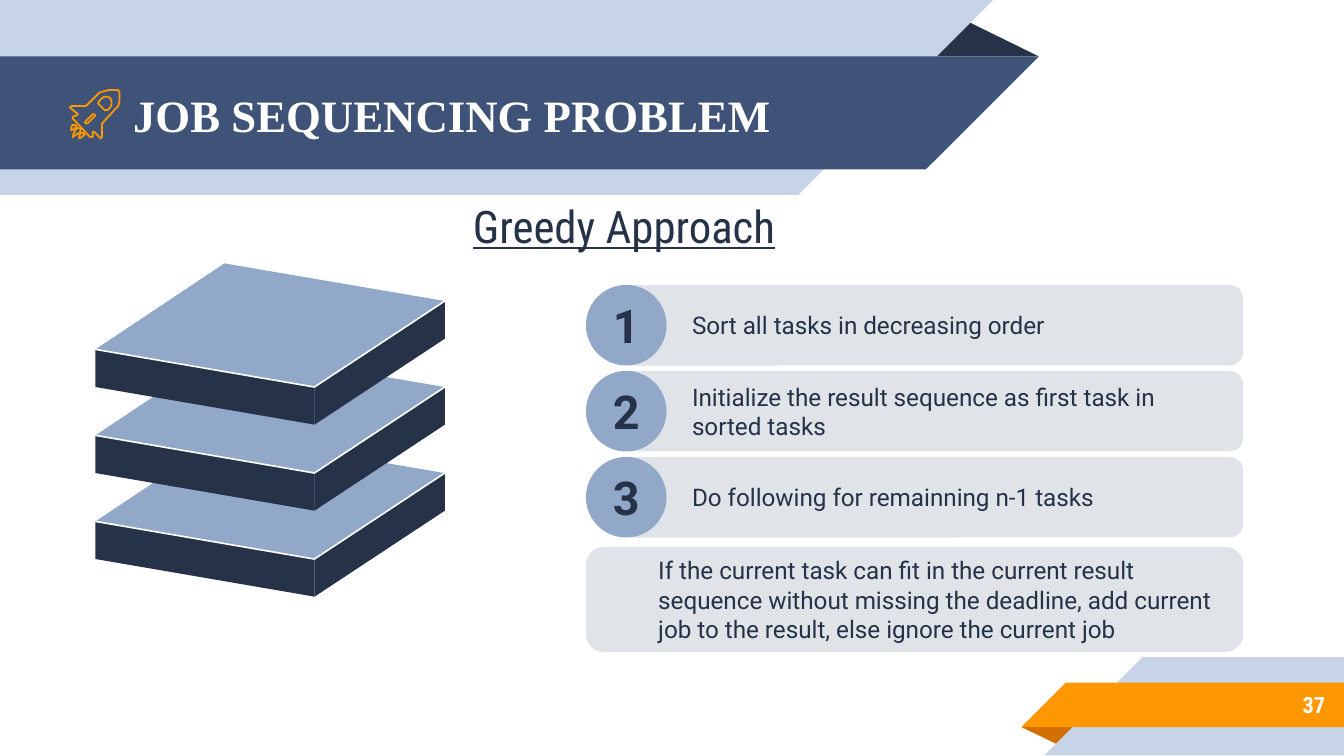
from pptx import Presentation
from pptx import util as u
from pptx.dml.color import RGBColor
from pptx.enum import shapes, text

NAVY = RGBColor(0x26, 0x32, 0x48)
BLUE = RGBColor(0x3F, 0x53, 0x78)
STEEL = RGBColor(0x92, 0xA8, 0xC8)
PALE = RGBColor(0xC7, 0xD3, 0xE6)
GREY = RGBColor(0xE0, 0xE4, 0xE9)
ORANGE = RGBColor(0xFF, 0x98, 0x00)
RUST = RGBColor(0xD2, 0x6F, 0x00)
WHITE = RGBColor(0xFF, 0xFF, 0xFF)

STEPS = [
    "Sort all tasks in decreasing order",
    "Initialize the result sequence as first task in sorted tasks",
    "Do following for remainning n-1 tasks",
]
DETAIL = ("If the current task can fit in the current result sequence without "
          "missing the deadline, add current job to the result, else ignore the current job")
STEP_TOP, STEP_PITCH, STEP_HEIGHT = 2.12, 0.64, 0.6
SLAB_TOP, SLAB_DEPTH = 1.96, 0.28

RIBBONS = [
    (NAVY, [(6.88, 0.42), (7.16, 0.14), (7.73, 0.42)]),
    (PALE, [(0, 0), (7.39, 0), (5.94, 1.45), (0, 1.45)]),
    (BLUE, [(0, 0.42), (7.73, 0.42), (6.89, 1.26), (0, 1.26)]),
    (RUST, [(7.6, 5.41), (8.03, 5.41), (7.89, 5.55)]),
    (PALE, [(8.5, 4.89), (10, 4.89), (10, 5.62), (7.77, 5.62)]),
    (ORANGE, [(7.93, 5.08), (10, 5.08), (10, 5.41), (7.6, 5.41)]),
]
ROCKET_BODY = [
    (0.76, 1.02), (0.76, 0.92), (0.86, 0.81), (0.88, 0.79), (0.89, 0.75), (0.89, 0.69),
    (0.88, 0.67), (0.86, 0.67), (0.81, 0.67), (0.77, 0.68), (0.74, 0.69), (0.64, 0.79),
    (0.53, 0.79), (0.52, 0.8), (0.58, 0.85), (0.57, 0.86), (0.54, 0.87), (0.54, 0.88),
    (0.67, 1.02), (0.69, 1.02), (0.69, 0.98), (0.7, 0.98), (0.75, 1.03),
]
ROCKET_SLOT = [(0.65, 0.92), (0.64, 0.92), (0.63, 0.91), (0.64, 0.9), (0.69, 0.85),
               (0.7, 0.85), (0.71, 0.86), (0.7, 0.87)]
ROCKET_WINDOW = [(0.8, 0.82), (0.78, 0.82), (0.74, 0.78), (0.73, 0.77), (0.74, 0.75),
                 (0.76, 0.73), (0.78, 0.72), (0.8, 0.72), (0.82, 0.73), (0.83, 0.75),
                 (0.83, 0.78), (0.82, 0.8)]
ROCKET_FLAME = [(0.6, 0.96), (0.58, 0.95), (0.56, 0.97), (0.55, 0.99), (0.54, 1.02),
                (0.57, 1), (0.59, 0.99), (0.6, 0.98)]
ROCKET_SPARK = [(0.56, 0.93), (0.55, 0.93), (0.54, 0.93), (0.53, 0.95), (0.53, 0.97),
                (0.55, 0.96), (0.56, 0.95), (0.57, 0.94)]


def write(shape, words, size=13, font="Roboto", color=NAVY, bold=False, underline=False,
          align=text.PP_ALIGN.LEFT, left_inset=0.1, inset=0.1, wrap=True, space_after=None):
    frame = shape.text_frame
    frame.auto_size = text.MSO_AUTO_SIZE.NONE
    frame.word_wrap = wrap
    frame.vertical_anchor = text.MSO_ANCHOR.MIDDLE
    frame.margin_left = u.Inches(left_inset)
    frame.margin_top = frame.margin_right = frame.margin_bottom = u.Inches(inset)
    paragraph = frame.paragraphs[0]
    paragraph.alignment = align
    if space_after is not None:
        paragraph.space_after = u.Pt(space_after)
    run = paragraph.add_run()
    run.text = words
    run.font.size = u.Pt(size)
    run.font.name = font
    run.font.color.rgb = color
    run.font.bold = bold
    run.font.underline = underline


class SlideBuilder:
    def __init__(self, slide):
        self.slide = slide

    def paint(self, shape, fill=None, line=None, width=1):
        shape.shadow.inherit = False
        if fill is None:
            shape.fill.background()
        else:
            shape.fill.solid()
            shape.fill.fore_color.rgb = fill
        if line is None:
            shape.line.fill.background()
        else:
            shape.line.color.rgb = line
            shape.line.width = u.Pt(width)
        return shape

    def outline(self, *contours, close=True, **style):
        """Draw one freeform from lists of points in inches."""
        builder = None
        for contour in contours:
            start, *rest = [(u.Inches(x), u.Inches(y)) for x, y in contour]
            if builder is None:
                builder = self.slide.shapes.build_freeform(*start)
            else:
                builder.move_to(*start)
            builder.add_line_segments(rest, close=close)
        return self.paint(builder.convert_to_shape(), **style)

    def preset(self, kind, left, top, width, height, fill):
        box = map(u.Inches, (left, top, width, height))
        return self.paint(self.slide.shapes.add_shape(kind, *box), fill)

    def label(self, left, top, width, height, words, **style):
        box = map(u.Inches, (left, top, width, height))
        shape = self.slide.shapes.add_textbox(*box)
        write(shape, words, **style)
        return shape

    def title(self, left, top, width, height, words, **style):
        title = self.slide.shapes.title
        title.left, title.top = u.Inches(left), u.Inches(top)
        title.width, title.height = u.Inches(width), u.Inches(height)
        write(title, words, **style)
        # The placeholder comes first in the tree; lift it above the ribbons.
        self.slide.shapes._spTree.append(title._element)

    def slab(self, top):
        back, right = (1.67, top), (3.31, top + 0.28)
        left, front = (0.71, top + 0.64), (2.34, top + 0.92)

        def side(start, end):
            lowered = [(x, y + SLAB_DEPTH) for x, y in (end, start)]
            self.outline([start, end, *lowered], fill=NAVY)

        side(front, right)
        self.outline([front, right, back, left], fill=STEEL)
        side(left, front)
        self.outline([left, front, right], close=False, line=WHITE, width=0.85)

    def card(self, left, top, width, height, words):
        shape = self.preset(shapes.MSO_SHAPE.ROUNDED_RECTANGLE, left, top, width, height, GREY)
        write(shape, words, left_inset=0.5)

    def step(self, number, top, words):
        self.card(4.62, top, 4.63, STEP_HEIGHT, words)
        badge = self.preset(shapes.MSO_SHAPE.OVAL, 4.36, top, STEP_HEIGHT, STEP_HEIGHT, STEEL)
        write(badge, str(number), size=25, bold=True, align=text.PP_ALIGN.CENTER)

    def rocket(self):
        small_spark = [(x + 0.06, y + 0.06) for x, y in ROCKET_SPARK]
        self.outline(ROCKET_BODY, ROCKET_SLOT, ROCKET_WINDOW, line=ORANGE, width=0.96)
        for contour in (ROCKET_FLAME, small_spark, ROCKET_SPARK):
            self.outline(contour, line=ORANGE, width=0.96)


def main():
    presentation = Presentation()
    presentation.slide_width = u.Inches(10)
    presentation.slide_height = presentation.slide_width * 9 // 16
    builder = SlideBuilder(presentation.slides.add_slide(presentation.slide_layouts[5]))

    for color, points in RIBBONS:
        builder.outline(points, fill=color)
    builder.title(0.89, 0.43, 6.19, 0.84, "JOB SEQUENCING PROBLEM", size=24,
                  font="Times New Roman", color=WHITE, bold=True)
    builder.rocket()

    # The lowest slab goes first so that each one above overlaps it.
    for index in reversed(range(len(STEPS))):
        offset = index * STEP_PITCH
        builder.slab(SLAB_TOP + offset)
        builder.step(index + 1, STEP_TOP + offset, STEPS[index])
    builder.card(4.36, 4.07, 4.89, 0.78, DETAIL)

    builder.label(3.42, 1.43, 2.48, 0.5, "Greedy Approach", size=24, font="Roboto Condensed",
                  underline=True, inset=0.05, wrap=False, space_after=10)
    builder.label(8.33, 5.07, 1.63, 0.35, "37", size=12, font="Roboto Condensed",
                  color=WHITE, bold=True, align=text.PP_ALIGN.RIGHT)
    presentation.save("out.pptx")


if __name__ == "__main__":
    main()
